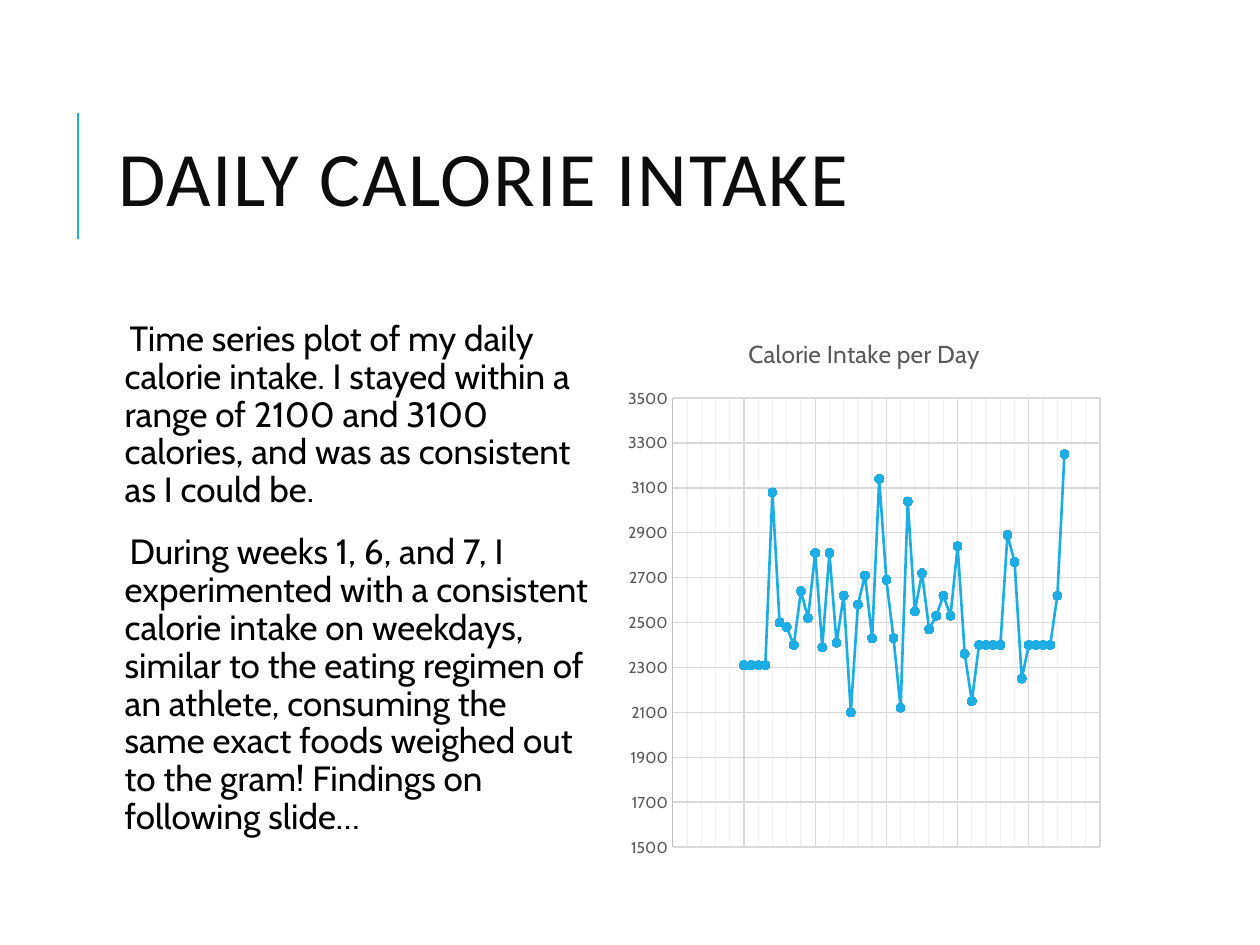
"""Build the daily calorie intake slide with its time series chart."""
import lxml.etree
import pptx
import pptx.chart.data
import pptx.dml.color
import pptx.enum.chart
import pptx.enum.shapes
import pptx.enum.text
import pptx.oxml
import pptx.oxml.ns
import pptx.util

Inches = pptx.util.Inches
Pt = pptx.util.Pt
qn = pptx.oxml.ns.qn

ACCENT, GRID, GRAY = "1CADE4", "D9D9D9", "595959"
FIRST_DAY = 43990
CALORIES = [
    2310, 2310, 2310, 2310, 3080, 2500, 2480, 2400, 2640, 2520,
    2810, 2390, 2810, 2410, 2620, 2100, 2580, 2710, 2430, 3140,
    2690, 2430, 2120, 3040, 2550, 2720, 2470, 2530, 2620, 2530,
    2840, 2360, 2150, 2400, 2400, 2400, 2400, 2890, 2770, 2250,
    2400, 2400, 2400, 2400, 2620, 3250,
]
BODY = [
    "Time series plot of my daily calorie intake. I stayed within a range of "
    "2100 and 3100 calories, and was as consistent as I could be.",
    "During weeks 1, 6, and 7, I experimented with a consistent calorie intake "
    "on weekdays, similar to the eating regimen of an athlete, consuming the "
    "same exact foods weighed out to the gram! Findings on following slide…",
]


def color(value):
    """Return the colour for a hex string."""
    return pptx.dml.color.RGBColor.from_string(value)


def style_font(font, name, size, value):
    """Set the typeface, size and colour of a font."""
    font.name, font.size = name, Pt(size)
    font.color.rgb = color(value)


def style_line(line, value, width):
    """Set the colour and width of a line."""
    line.color.rgb = color(value)
    line.width = Pt(width)


def add_rule(slide):
    """Add the vertical accent rule beside the title."""
    rule = slide.shapes.add_connector(
        pptx.enum.shapes.MSO_CONNECTOR.STRAIGHT,
        Inches(0.62), Inches(1.9), Inches(0.62), Inches(0.9))
    style_line(rule.line, ACCENT, 1.5)
    lxml.etree.SubElement(rule._element.spPr, qn("a:effectLst"))


def add_title(slide, text):
    """Add the slide title with widened letter spacing."""
    box = slide.shapes.add_textbox(Inches(0.84), Inches(0.64), Inches(7.97), Inches(1.64))
    frame = box.text_frame
    frame.word_wrap = True
    frame.vertical_anchor = pptx.enum.text.MSO_ANCHOR.MIDDLE
    frame.text = text
    para = frame.paragraphs[0]
    para.line_spacing = 0.8
    span = para.runs[0]
    style_font(span.font, "Calibri", 44, "0D0D0D")
    span._r.get_or_add_rPr().set("spc", "100")


def set_blank_bullet(para):
    """Give a paragraph a hanging indent behind a blank bullet."""
    properties = para._p.get_or_add_pPr()
    properties.set("marL", str(Inches(0.1)))
    properties.set("indent", str(-Inches(0.1)))
    bullet_color = lxml.etree.SubElement(properties, qn("a:buClr"))
    lxml.etree.SubElement(bullet_color, qn("a:srgbClr"), val=ACCENT)
    lxml.etree.SubElement(properties, qn("a:buChar"), char=" ")


def add_body(slide, texts):
    """Add the commentary paragraphs."""
    box = slide.shapes.add_textbox(Inches(0.84), Inches(2.5), Inches(3.9), Inches(4.4))
    frame = box.text_frame
    frame.word_wrap = True
    frame.margin_left = frame.margin_right = Inches(0.05)
    frame.margin_top = frame.margin_bottom = Inches(0.05)
    frame.text = "\n".join(texts)
    for para in frame.paragraphs:
        para.line_spacing = 0.9
        para.space_before, para.space_after = Pt(12), Pt(2)
        set_blank_bullet(para)
        style_font(para.runs[0].font, "Cabin", 20, "000000")


def set_scale(axis, low, high, step):
    """Set the range, step and major gridlines of an axis."""
    axis.minimum_scale, axis.maximum_scale = low, high
    axis.major_unit = step
    axis.has_major_gridlines = True
    style_line(axis.major_gridlines.format.line, GRID, 0.75)
    axis.major_tick_mark = pptx.enum.chart.XL_TICK_MARK.NONE


def add_minor_gridlines(axis, step, value, width):
    """Show minor gridlines with the given step, colour and width."""
    axis.minor_unit = step
    axis.has_minor_gridlines = True
    gridlines = axis._element.find(qn("c:minorGridlines"))
    properties = lxml.etree.SubElement(gridlines, qn("c:spPr"))
    line = lxml.etree.SubElement(properties, qn("a:ln"), w=str(Pt(width)))
    fill = lxml.etree.SubElement(line, qn("a:solidFill"))
    lxml.etree.SubElement(fill, qn("a:srgbClr"), val=value)


def set_plot_layout(chart, **fractions):
    """Fix the inner plot area as fractions of the chart."""
    area = chart._chartSpace.chart.plotArea
    for old in area.findall(qn("c:layout")):
        area.remove(old)
    layout = lxml.etree.Element(qn("c:layout"))
    area.insert(0, layout)
    manual = lxml.etree.SubElement(layout, qn("c:manualLayout"))
    modes = {"layoutTarget": "inner", "xMode": "edge", "yMode": "edge"}
    for tag, value in {**modes, **fractions}.items():
        lxml.etree.SubElement(manual, qn("c:" + tag), val=str(value))


def add_calorie_chart(slide):
    """Add the scatter chart of calories by day."""
    data = pptx.chart.data.XyChartData()
    points = data.add_series("Series 1")
    for day, calories in enumerate(CALORIES, FIRST_DAY):
        points.add_data_point(day, calories)
    chart = slide.shapes.add_chart(
        pptx.enum.chart.XL_CHART_TYPE.XY_SCATTER_LINES,
        Inches(4.91), Inches(2.5), Inches(3.9), Inches(4.4), data).chart
    style_font(chart.font, "Cabin", 10, "000000")
    chart.has_legend = False
    chart.has_title = True
    title = chart.chart_title.text_frame
    title.text = "Calorie Intake per Day"
    span = title.paragraphs[0].runs[0]
    style_font(span.font, "Cabin", 14, GRAY)
    span.font.bold = False
    set_plot_layout(chart, x=0.11, y=0.15, w=0.87, h=0.81)

    days, values = chart.category_axis, chart.value_axis
    set_scale(days, FIRST_DAY - 10, FIRST_DAY + 50, 10)
    add_minor_gridlines(days, 2, "F2F2F2", 0.75)
    days.visible = False
    set_scale(values, 1500, 3500, 200)
    style_line(values.format.line, "BFBFBF", 0.75)
    style_font(values.tick_labels.font, "Cabin", 9, GRAY)
    values.tick_labels.number_format = "General"
    values.tick_labels.number_format_is_linked = False

    chart.plots[0].vary_by_categories = False
    series = chart.plots[0].series[0]
    series.smooth = False
    style_line(series.format.line, ACCENT, 1.5)
    marker = series.marker
    marker.style, marker.size = pptx.enum.chart.XL_MARKER_STYLE.CIRCLE, 5
    marker.format.fill.solid()
    marker.format.fill.fore_color.rgb = color(ACCENT)
    style_line(marker.format.line, ACCENT, 0.75)


def main():
    """Build and save the deck."""
    deck = pptx.Presentation()
    deck.slide_width, deck.slide_height = Inches(10), Inches(7.5)
    slide = deck.slides.add_slide(deck.slide_layouts[6])
    add_rule(slide)
    add_title(slide, "DAILY CALORIE INTAKE")
    add_body(slide, BODY)
    add_calorie_chart(slide)
    deck.save("out.pptx")


if __name__ == "__main__":
    main()
